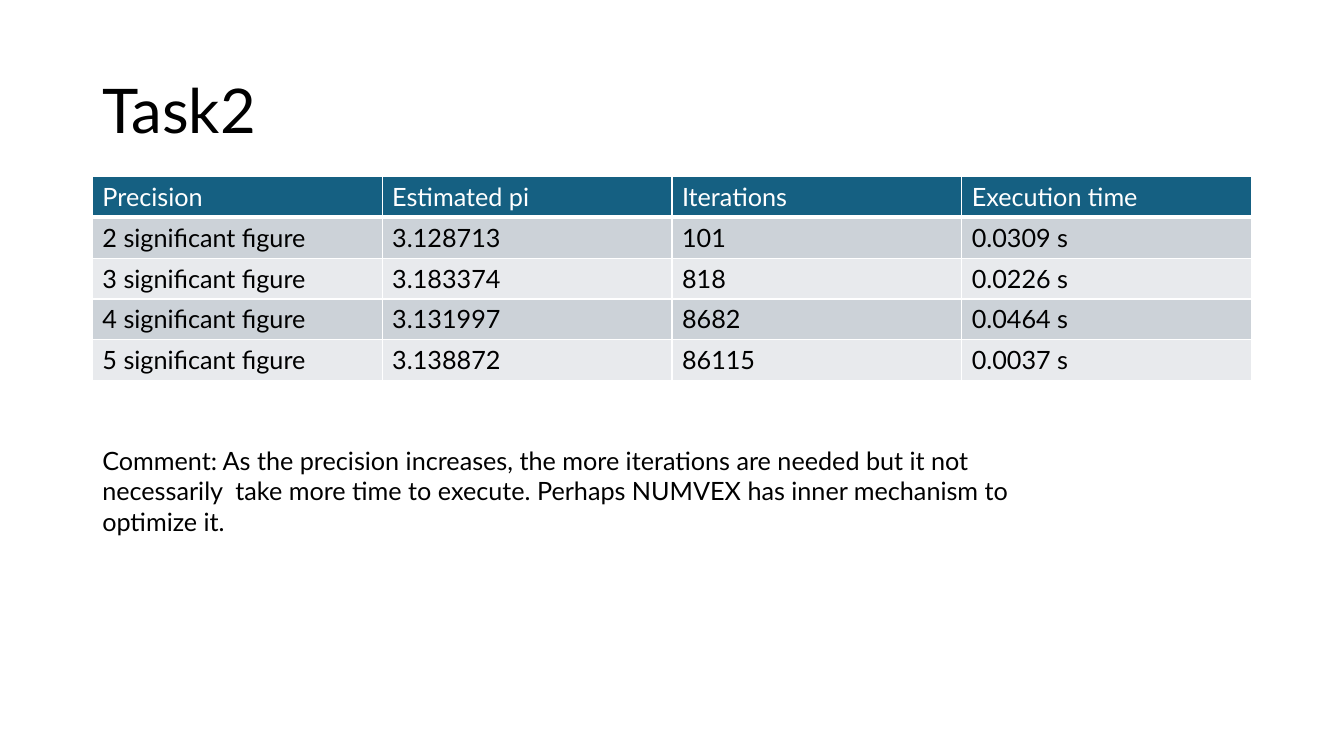
from lxml.etree import SubElement
from pptx import Presentation
from pptx.dml.color import RGBColor
from pptx.enum.text import MSO_ANCHOR
from pptx.oxml.ns import qn
from pptx.util import Pt

TITLE = "Task2"
RESULTS = [
    ("Precision", "Estimated pi", "Iterations", "Execution time"),
    ("2 significant figure", "3.128713", "101", "0.0309 s"),
    ("3 significant figure", "3.183374", "818", "0.0226 s"),
    ("4 significant figure", "3.131997", "8682", "0.0464 s"),
    ("5 significant figure", "3.138872", "86115", "0.0037 s"),
]
COMMENT = (
    "Comment: As the precision increases, the more iterations are needed "
    "but it not necessarily  take more time to execute. "
    "Perhaps NUMVEX has inner mechanism to optimize it."
)

FONT = "Lato"
BLACK = RGBColor(0x00, 0x00, 0x00)
WHITE = RGBColor(0xFF, 0xFF, 0xFF)
HEADER_BLUE = RGBColor(0x15, 0x60, 0x82)
BANDS = (RGBColor(0xE8, 0xEA, 0xED), RGBColor(0xCC, 0xD2, 0xD8))

LEFT, WIDTH = 66, 828
TABLE_TOP, ROW_HEIGHT = 126, 29.2
THIN, THICK = 1, 3


def set_font(para, size, color):
    para.font.name = FONT
    para.font.size = Pt(size)
    para.font.bold = False
    para.font.color.rgb = color


def add_text(page, text, top, width, height, size):
    box = page.shapes.add_textbox(Pt(LEFT), Pt(top), Pt(width), Pt(height))
    box.text_frame.word_wrap = True
    para = box.text_frame.paragraphs[0]
    para.text = text
    set_font(para, size, BLACK)
    return box


def set_borders(cell, top, bottom):
    properties = cell._tc.get_or_add_tcPr()
    for side, width in (("L", THIN), ("R", THIN), ("T", top), ("B", bottom)):
        line = SubElement(properties, qn(f"a:ln{side}"), w=str(Pt(width)))
        fill = SubElement(line, qn("a:solidFill"))
        SubElement(fill, qn("a:srgbClr"), val=str(WHITE))


def add_results(page):
    rows, columns = len(RESULTS), len(RESULTS[0])
    table = page.shapes.add_table(
        rows, columns, Pt(LEFT), Pt(TABLE_TOP), Pt(WIDTH), Pt(ROW_HEIGHT * rows)
    ).table
    for row, values in enumerate(RESULTS):
        table.rows[row].height = Pt(ROW_HEIGHT)
        header = row == 0
        for column, value in enumerate(values):
            cell = table.cell(row, column)
            cell.text = value
            set_font(cell.text_frame.paragraphs[0], 18, WHITE if header else BLACK)
            set_borders(cell, THICK if row == 1 else THIN, THICK if header else THIN)
            cell.fill.solid()
            cell.fill.fore_color.rgb = HEADER_BLUE if header else BANDS[row % 2]


def main():
    deck = Presentation()
    deck.slide_width, deck.slide_height = Pt(960), Pt(540)
    page = deck.slides.add_slide(deck.slide_layouts[6])
    title = add_text(page, TITLE, 28.75, WIDTH, 104.4, 44)
    title.text_frame.vertical_anchor = MSO_ANCHOR.MIDDLE
    title.text_frame.paragraphs[0].line_spacing = 0.9
    add_results(page)
    add_text(page, COMMENT, 314.6, 688.3, 72.7, 18)
    deck.save("out.pptx")


if __name__ == "__main__":
    main()
